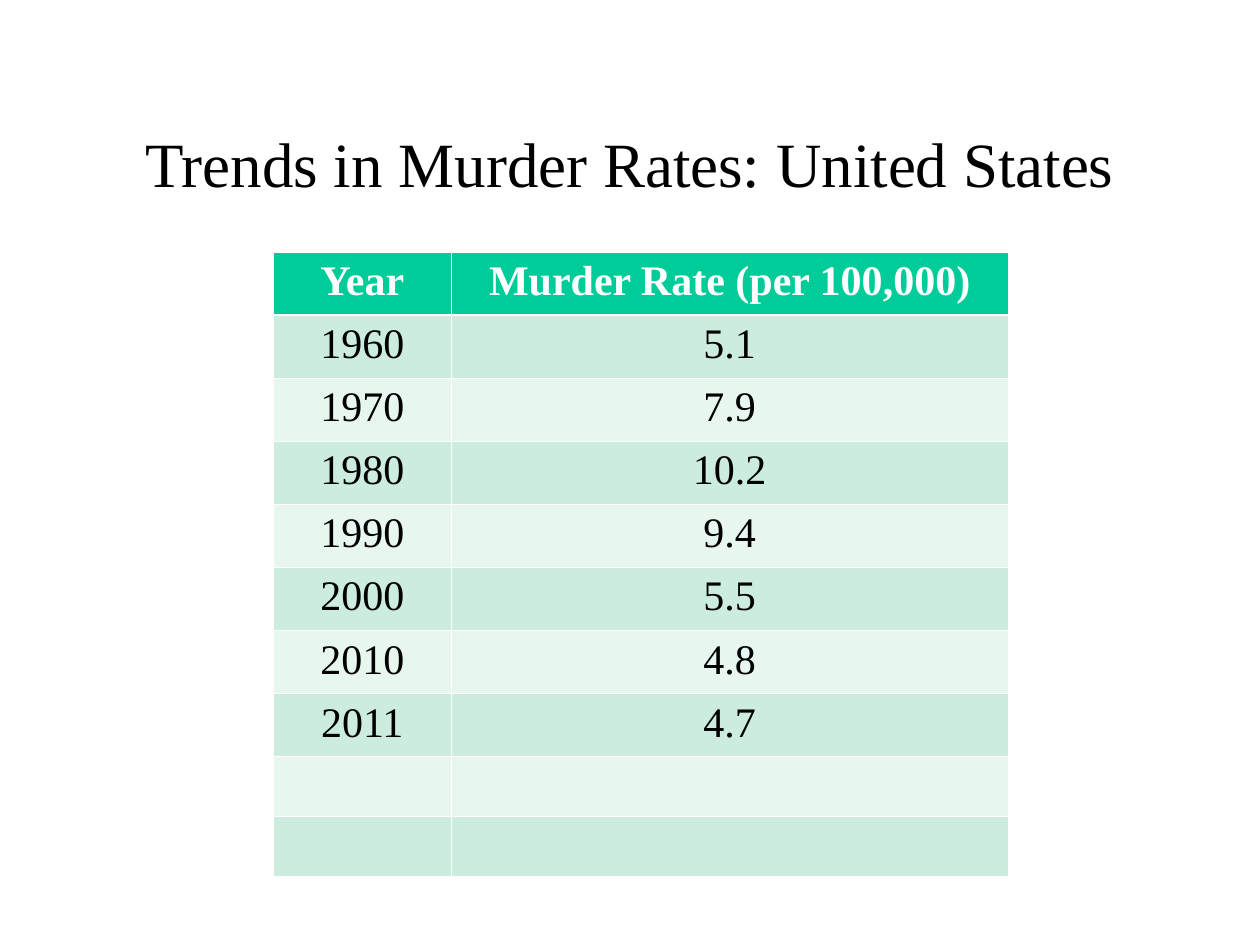
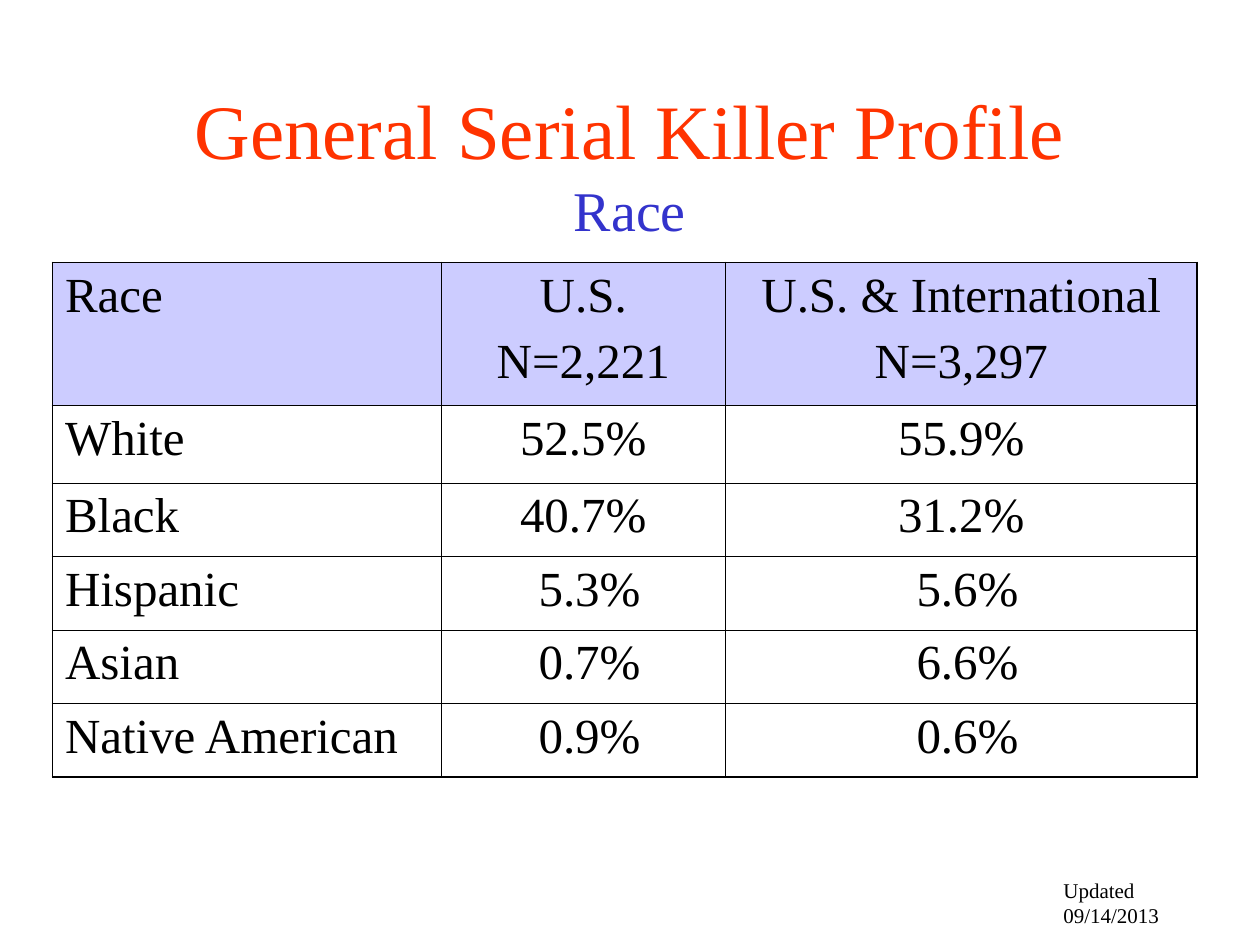
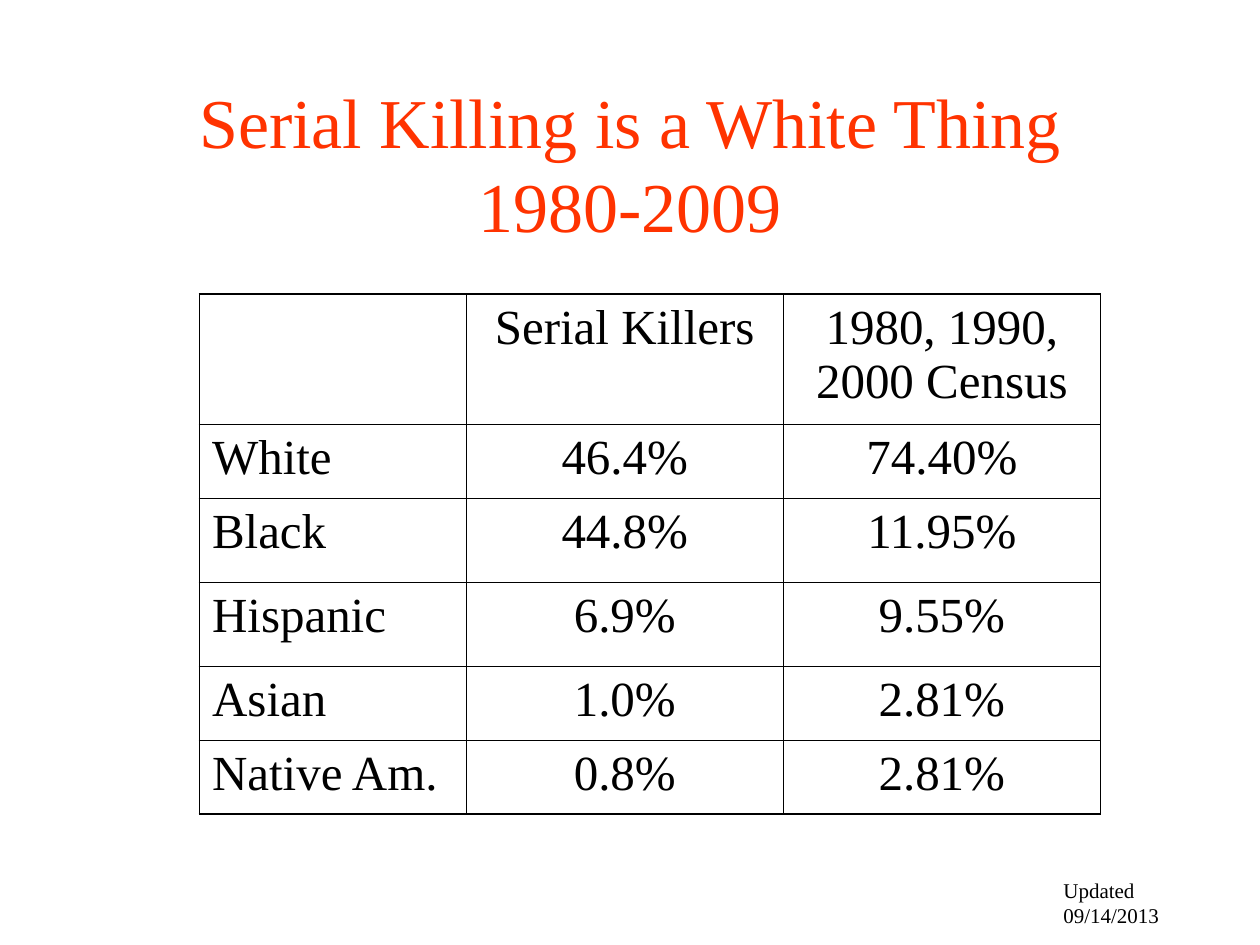
"""Build three slides of crime statistics, each a title above a table."""
from dataclasses import dataclass
from typing import Any

from lxml import etree
from pptx import Presentation
from pptx.dml.color import RGBColor
from pptx.enum.text import MSO_ANCHOR, MSO_AUTO_SIZE, PP_ALIGN
from pptx.oxml.ns import qn
from pptx.util import Inches, Pt

CENTER, LEFT = PP_ALIGN.CENTER, PP_ALIGN.LEFT
MIDDLE = MSO_ANCHOR.MIDDLE
GROW = MSO_AUTO_SIZE.SHAPE_TO_FIT_TEXT

BLACK = RGBColor(0x00, 0x00, 0x00)
WHITE = RGBColor(0xFF, 0xFF, 0xFF)
RED = RGBColor(0xFF, 0x33, 0x00)
BLUE = RGBColor(0x33, 0x33, 0xCC)
GREEN = RGBColor(0x00, 0xCC, 0x99)
MINT = RGBColor(0xCB, 0xEC, 0xDE)
PALE_MINT = RGBColor(0xE7, 0xF6, 0xEF)
LAVENDER = RGBColor(0xCC, 0xCC, 0xFF)

FONT = "Times New Roman"
SLIDE_WIDTH, SLIDE_HEIGHT = Inches(10), Inches(7.5)
GRID_COLUMNS, GRID_ROWS = 120, 90
HAIRLINE = 0.45
PARAGRAPH_GAP = Pt(7)
SHORT_VALUE = len("5.3%")
SHORT_VALUE_INDENT = Inches(0.1)
UPDATED = "Updated 09/14/2013"


@dataclass(frozen=True)
class Area:
    """A rectangle in grid columns and rows."""
    left: float
    top: float
    width: float
    height: float


@dataclass(frozen=True)
class TitleLine:
    """One line of a slide title."""
    text: str
    size: int
    color: RGBColor


@dataclass(frozen=True)
class TableStyle:
    """The look of a table, with line widths in points."""
    size: int
    side_margin: float
    border_color: RGBColor
    frame_width: float
    header_rule: float
    header_color: RGBColor = BLACK
    header_bold: bool = False
    header_fill: RGBColor | None = None
    band_fills: tuple[RGBColor | None, ...] = (None,)
    label_align: PP_ALIGN = LEFT
    indent_short_values: bool = False


@dataclass(frozen=True)
class TableSlide:
    """A slide with a title, a table and perhaps an update note."""
    title: list[TitleLine]
    left: float
    top: float
    widths: list[float]
    heights: list[float]
    rows: list[tuple[str, ...]]
    style: TableStyle
    note: str = ""


TITLE_AREA = Area(9, 8, 102, 15)
NOTE_AREA = Area(100.1, 83, 18.7, 3.6)

GREEN_BANDS = TableStyle(
    size=24, side_margin=0.08, border_color=WHITE, frame_width=HAIRLINE,
    header_rule=1.47, header_color=WHITE, header_bold=True, header_fill=GREEN,
    band_fills=(MINT, PALE_MINT), label_align=CENTER)
BLACK_GRID = {"size": 28, "side_margin": 0.1, "border_color": BLACK,
              "frame_width": 1.08, "header_rule": HAIRLINE}

SLIDES = [
    TableSlide(
        title=[TitleLine("Trends in Murder Rates: United States", 36, BLACK)],
        left=26, top=24, widths=[17, 53], heights=[5.7] * 10,
        rows=[("Year", "Murder Rate (per 100,000)"), ("1960", "5.1"),
              ("1970", "7.9"), ("1980", "10.2"), ("1990", "9.4"),
              ("2000", "5.5"), ("2010", "4.8"), ("2011", "4.7"),
              ("", ""), ("", "")],
        style=GREEN_BANDS),
    TableSlide(
        title=[TitleLine("General Serial Killer Profile", 44, RED),
               TitleLine("Race", 32, BLUE)],
        left=5, top=25, widths=[37, 27.1, 44.9],
        heights=[13.6, 7.4, 7, 7, 7, 7],
        rows=[("Race", "U.S.\nN=2,221", "U.S. & International\nN=3,297"),
              ("White", "52.5%", "55.9%"), ("Black", "40.7%", "31.2%"),
              ("Hispanic", "5.3%", "5.6%"), ("Asian", "0.7%", "6.6%"),
              ("Native American", "0.9%", "0.6%")],
        style=TableStyle(**BLACK_GRID, header_fill=LAVENDER,
                         indent_short_values=True),
        note=UPDATED),
    TableSlide(
        title=[TitleLine("Serial Killing is a White Thing", 40, RED),
               TitleLine("1980-2009", 40, RED)],
        left=19, top=28, widths=[25.4, 30.2, 30.2],
        heights=[12.4, 7.1, 8, 8, 7, 7],
        rows=[("", "Serial Killers", "1980, 1990, 2000 Census"),
              ("White", "46.4%", "74.40%"), ("Black", "44.8%", "11.95%"),
              ("Hispanic", "6.9%", "9.55%"), ("Asian", "1.0%", "2.81%"),
              ("Native Am.", "0.8%", "2.81%")],
        style=TableStyle(**BLACK_GRID),
        note=UPDATED),
]


def across(columns: float) -> int:
    """Convert grid columns to a length."""
    return round(SLIDE_WIDTH * columns / GRID_COLUMNS)


def down(rows: float) -> int:
    """Convert grid rows to a length."""
    return round(SLIDE_HEIGHT * rows / GRID_ROWS)


def place(area: Area) -> tuple[int, int, int, int]:
    """Return left, top, width and height of an area as lengths."""
    return (across(area.left), down(area.top),
            across(area.width), down(area.height))


def apply_format(target: Any, values: dict[str, Any]) -> None:
    """Set each named attribute of the target."""
    for name, value in values.items():
        setattr(target, name, value)


def add_span(para: Any, text: str, size: int, color: RGBColor,
             bold: bool = False) -> None:
    """Append formatted text to a paragraph."""
    span = para.add_run()
    span.text = text
    apply_format(span.font, {"name": FONT, "size": Pt(size), "bold": bold})
    span.font.color.rgb = color


def add_title(page: Any, lines: list[TitleLine]) -> None:
    """Draw the centred title."""
    frame = page.shapes.add_textbox(*place(TITLE_AREA)).text_frame
    apply_format(frame, {"word_wrap": True, "vertical_anchor": MIDDLE})
    para = frame.paragraphs[0]
    para.alignment = CENTER
    for index, line in enumerate(lines):
        if index:
            para.add_line_break()
        add_span(para, line.text, line.size, line.color)


def add_note(page: Any, text: str) -> None:
    """Draw the update note in the lower right corner."""
    frame = page.shapes.add_textbox(*place(NOTE_AREA)).text_frame
    apply_format(frame, {"word_wrap": False, "auto_size": GROW})
    add_span(frame.paragraphs[0], text, 12, BLACK)


def set_borders(cell: Any, widths: dict[str, float], color: RGBColor) -> None:
    """Draw the cell's edges, given in schema order."""
    properties = cell._tc.get_or_add_tcPr()
    for index, (edge, width) in enumerate(widths.items()):
        line = etree.Element(qn(f"a:{edge}"), w=str(Pt(width)))
        fill = etree.SubElement(line, qn("a:solidFill"))
        etree.SubElement(fill, qn("a:srgbClr"), val=str(color))
        properties.insert(index, line)


def border_widths(row: int, column: int, last_row: int, last_column: int,
                  style: TableStyle) -> dict[str, float]:
    """Choose frame, header rule or hairline for each edge of a cell."""
    frame, rule = style.frame_width, style.header_rule
    return {
        "lnL": frame if column == 0 else HAIRLINE,
        "lnR": frame if column == last_column else HAIRLINE,
        "lnT": {0: frame, 1: rule}.get(row, HAIRLINE),
        "lnB": {0: rule, last_row: frame}.get(row, HAIRLINE),
    }


def fill_cell(cell: Any, text: str, row: int, column: int,
              style: TableStyle) -> None:
    """Set the fill, margins and text of a cell."""
    header = row == 0
    bands = style.band_fills
    color = style.header_fill if header else bands[(row - 1) % len(bands)]
    if color is None:
        cell.fill.background()
    else:
        cell.fill.solid()
        cell.fill.fore_color.rgb = color
    side = Inches(style.side_margin)
    short = style.indent_short_values and column and len(text) == SHORT_VALUE
    apply_format(cell, {
        "margin_left": side + (SHORT_VALUE_INDENT if short and not header else 0),
        "margin_right": side,
        "margin_top": Inches(0.05),
        "margin_bottom": Inches(0.05),
    })
    if not text:
        return
    frame = cell.text_frame
    for index, line in enumerate(text.split("\n")):
        para = frame.add_paragraph() if index else frame.paragraphs[0]
        if index:
            para.space_before = PARAGRAPH_GAP
        para.alignment = CENTER if column else style.label_align
        add_span(para, line, style.size,
                 style.header_color if header else BLACK,
                 header and style.header_bold)


def add_data_table(page: Any, content: TableSlide) -> None:
    """Draw the slide's table."""
    widths, heights, style = content.widths, content.heights, content.style
    area = Area(content.left, content.top, sum(widths), sum(heights))
    table = page.shapes.add_table(
        len(heights), len(widths), *place(area)).table
    apply_format(table, {"first_row": False, "horz_banding": False})
    for column, width in zip(table.columns, widths):
        column.width = across(width)
    for row, height in zip(table.rows, heights):
        row.height = down(height)
    for row, texts in enumerate(content.rows):
        for column, text in enumerate(texts):
            cell = table.cell(row, column)
            fill_cell(cell, text, row, column, style)
            edges = border_widths(row, column, len(heights) - 1,
                                  len(widths) - 1, style)
            set_borders(cell, edges, style.border_color)


def main() -> None:
    """Build and save the deck."""
    deck = Presentation()
    apply_format(deck, {"slide_width": SLIDE_WIDTH,
                        "slide_height": SLIDE_HEIGHT})
    for content in SLIDES:
        page = deck.slides.add_slide(deck.slide_layouts[6])
        add_title(page, content.title)
        add_data_table(page, content)
        if content.note:
            add_note(page, content.note)
    deck.save("out.pptx")


if __name__ == "__main__":
    main()
